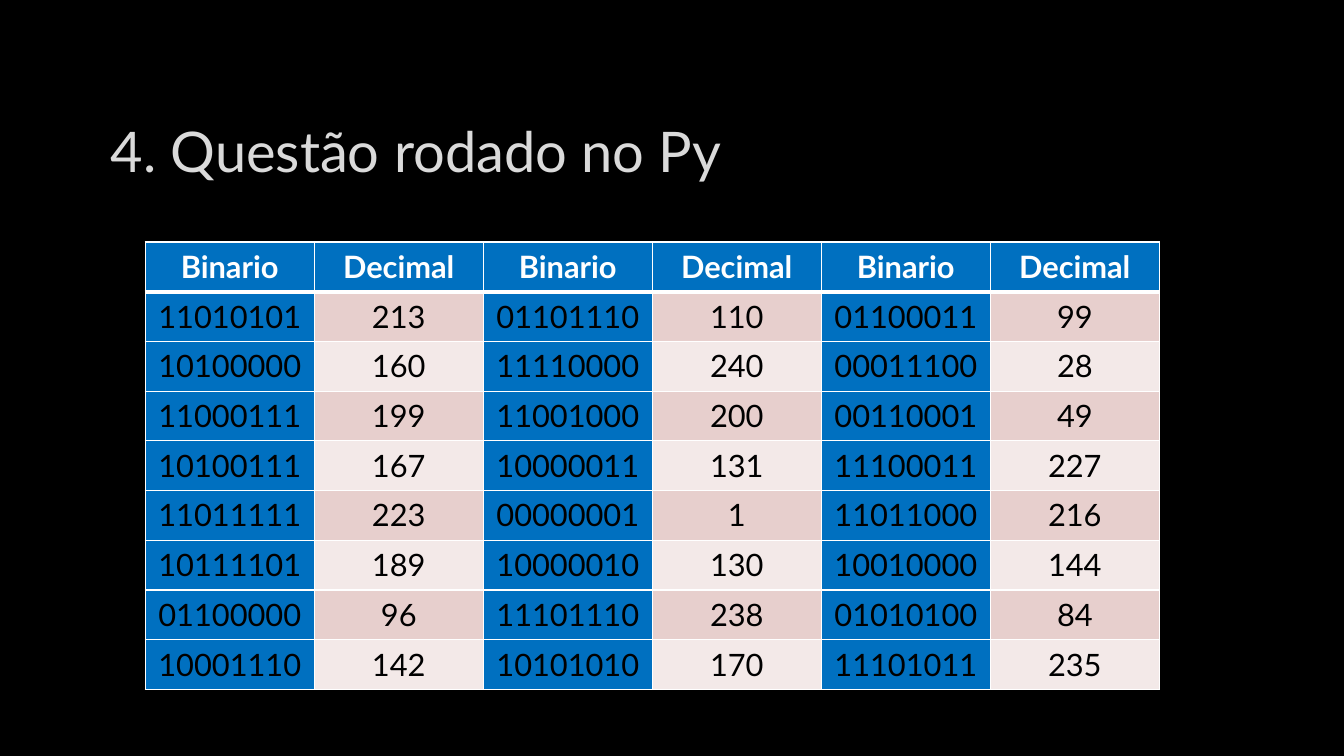
import lxml.etree
import pptx
import pptx.dml.color
import pptx.enum.text
import pptx.oxml
import pptx.oxml.ns
import pptx.util

Inches = pptx.util.Inches
Pt = pptx.util.Pt
ALIGN = pptx.enum.text.PP_ALIGN
ANCHOR = pptx.enum.text.MSO_ANCHOR

FONT = "Lato"
COLORS = {
    "background": "000000",
    "title": "DADADA",
    "outline": "404040",
    "blue": "0070C0",
    "odd_row": "E7CFCD",
    "even_row": "F3E9E8",
    "white": "FFFFFF",
    "black": "000000",
}
BINARIES = [
    ["11010101", "01101110", "01100011"],
    ["10100000", "11110000", "00011100"],
    ["11000111", "11001000", "00110001"],
    ["10100111", "10000011", "11100011"],
    ["11011111", "00000001", "11011000"],
    ["10111101", "10000010", "10010000"],
    ["01100000", "11101110", "01010100"],
    ["10001110", "10101010", "11101011"],
]


def rgb(name):
    return pptx.dml.color.RGBColor.from_string(COLORS[name])


def make_line(tag, width, color, opacity=100):
    xml = (
        f'<a:{tag} {pptx.oxml.ns.nsdecls("a")} w="{Pt(width)}"><a:solidFill>'
        f'<a:srgbClr val="{COLORS[color]}"><a:alpha val="{opacity * 1000}"/>'
        f'</a:srgbClr></a:solidFill><a:prstDash val="solid"/></a:{tag}>'
    )
    return pptx.oxml.parse_xml(xml)


def write_text(tf, text, size, color, bold=False, align=ALIGN.LEFT):
    p = tf.paragraphs[0]
    p.alignment = align
    r = p.add_run()
    r.text = text
    r.font.name = FONT
    r.font.size = Pt(size)
    r.font.bold = bold
    r.font.color.rgb = rgb(color)
    return r


def add_title(s, text):
    sp = s.shapes.title
    sp.left, sp.top = Inches(1), Inches(0.67)
    sp.width, sp.height = Inches(11.32), Inches(1.63)
    tf = sp.text_frame
    tf.word_wrap = True
    tf.vertical_anchor = ANCHOR.MIDDLE
    r = write_text(tf, text, size=40, color="title")
    r.font._element.insert(0, make_line("ln", 0.75, "outline", opacity=10))


def format_cell(cell, text, fill, color, bold, top=1, bottom=1):
    cell.margin_left = cell.margin_right = Inches(0.12)
    cell.margin_top = cell.margin_bottom = Inches(0.06)
    cell.fill.solid()
    cell.fill.fore_color.rgb = rgb(fill)
    write_text(cell.text_frame, text, size=22, color=color, bold=bold,
               align=ALIGN.CENTER)
    tc_pr = cell._tc.get_or_add_tcPr()
    borders = {"lnL": 1, "lnR": 1, "lnT": top, "lnB": bottom}
    for i, (tag, width) in enumerate(borders.items()):
        tc_pr.insert(i, make_line(tag, width, "white"))


def add_conversion_table(s, binaries):
    rows = [["Binario", "Decimal"] * 3]
    for line in binaries:
        rows.append([text for b in line for text in (b, str(int(b, 2)))])
    table = s.shapes.add_table(
        len(rows), len(rows[0]),
        Inches(1.44), Inches(2.4), Inches(10.06), Inches(4.44),
    ).table
    for i, row in enumerate(rows):
        header = i == 0
        band = "odd_row" if i % 2 else "even_row"
        for j, text in enumerate(row):
            format_cell(
                table.cell(i, j), text,
                fill="blue" if header or j % 2 == 0 else band,
                color="white" if header else "black",
                bold=header,
                top=3 if i == 1 else 1,
                bottom=3 if header else 1,
            )


def main():
    prs = pptx.Presentation()
    prs.slide_width, prs.slide_height = Inches(13.33), Inches(7.5)
    s = prs.slides.add_slide(prs.slide_layouts[5])
    s.background.fill.solid()
    s.background.fill.fore_color.rgb = rgb("background")
    add_title(s, "4. Questão rodado no Py")
    add_conversion_table(s, BINARIES)
    prs.save("out.pptx")


if __name__ == "__main__":
    main()
